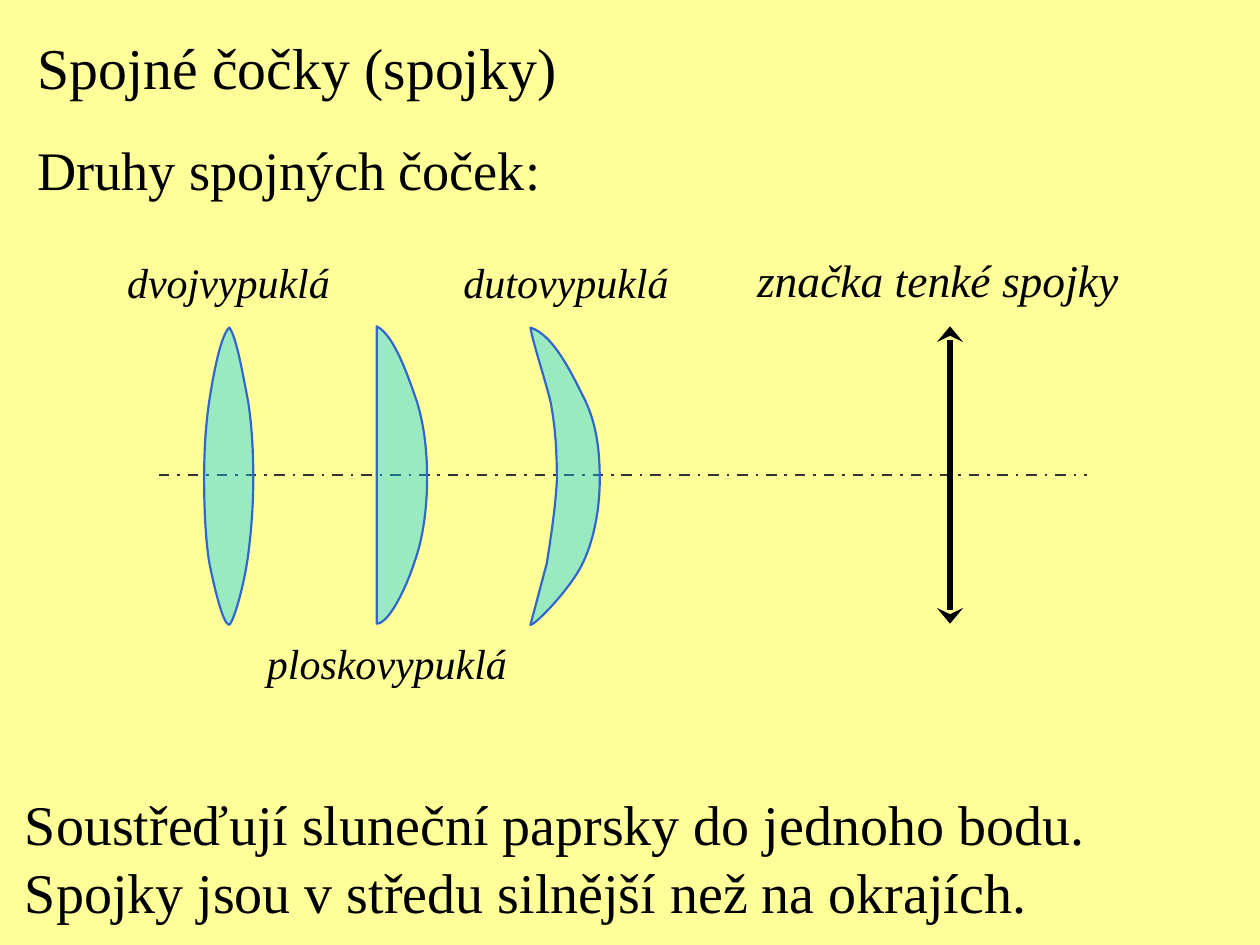
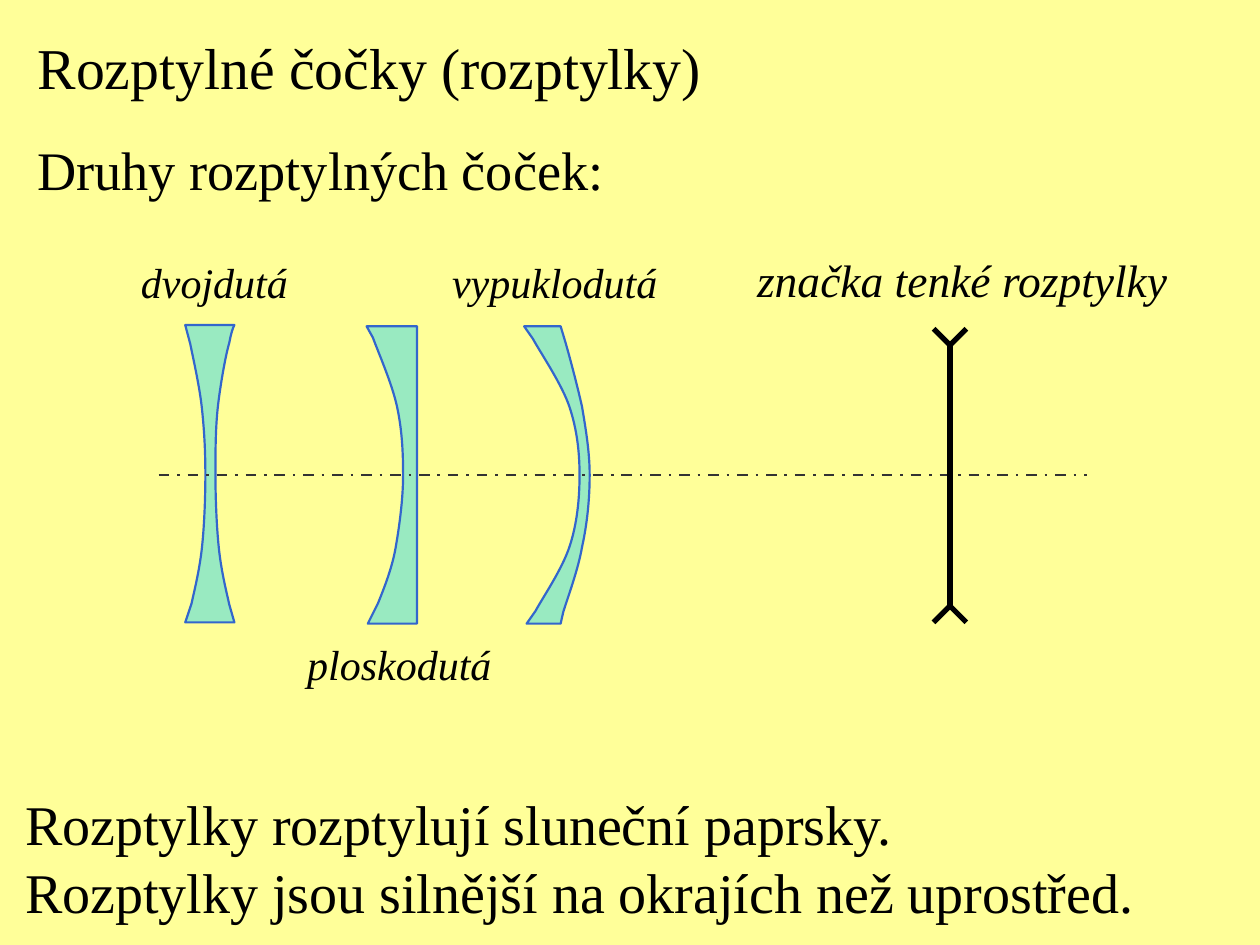
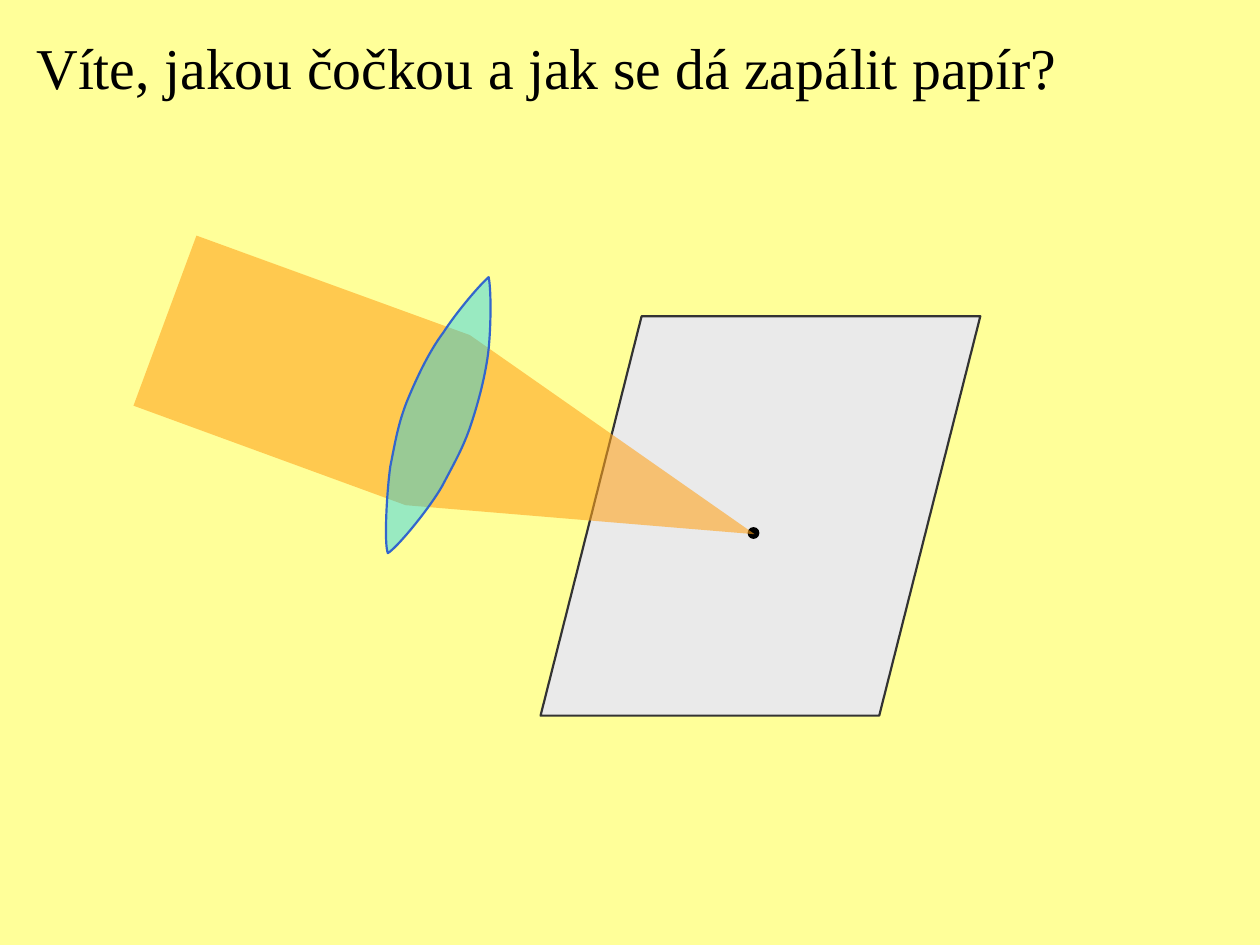
from dataclasses import dataclass
from math import cos, radians, sin
from typing import Optional

from lxml.etree import SubElement
from pptx import Presentation
from pptx.dml.color import RGBColor
from pptx.enum.dml import MSO_LINE
from pptx.enum.shapes import MSO_CONNECTOR, MSO_SHAPE
from pptx.enum.text import MSO_AUTO_SIZE
from pptx.oxml.ns import qn
from pptx.util import Inches, Pt

BACKGROUND = "FFFF99"
INK = "000000"
AXIS_GREY = "333333"
PAPER = "EAEAEA"
FONT = "Times New Roman"
TEXT_SLACK = 0.04
AXIS_Y = 3.77
SYMBOL_X = 7.54

Point = tuple[float, float]


@dataclass(frozen=True)
class Stroke:
    color: str
    width: float
    dash: Optional[MSO_LINE] = None
    ends: str = ""


@dataclass(frozen=True)
class Fill:
    color: str
    opacity: int = 100


@dataclass(frozen=True)
class Line:
    text: str
    size: float
    after: float = 0
    italic: bool = False


@dataclass(frozen=True)
class Caption:
    left: float
    top: float
    width: float
    height: float
    lines: tuple[Line, ...]


@dataclass(frozen=True)
class Outline:
    start: Point
    segments: tuple[tuple[float, ...], ...]
    closed: bool = True


GLASS = Fill("00CCFF", 40)
GLASS_EDGE = Stroke("3366CC", 1.25)
SYMBOL_STROKE = Stroke(INK, 3)
AXIS_STROKE = Stroke(AXIS_GREY, 1.5, MSO_LINE.DASH_DOT)

BICONVEX = Outline((1.82, 2.6), (
    (1.75, 2.66, 1.69, 2.99, 1.66, 3.19), (1.63, 3.39, 1.62, 3.59, 1.62, 3.81),
    (1.62, 4.02, 1.63, 4.27, 1.66, 4.46), (1.7, 4.66, 1.77, 4.96, 1.82, 4.96),
    (1.86, 4.92, 1.93, 4.66, 1.96, 4.47), (1.99, 4.28, 2.01, 4.02, 2.01, 3.8),
    (2.01, 3.59, 2, 3.39, 1.97, 3.19), (1.93, 2.99, 1.88, 2.68, 1.82, 2.6)))
PLANO_CONVEX = Outline((2.99, 2.59), (
    (3.13, 2.66, 3.24, 2.99, 3.31, 3.19), (3.37, 3.39, 3.39, 3.59, 3.39, 3.8),
    (3.39, 4.02, 3.36, 4.27, 3.29, 4.46), (3.23, 4.65, 3.09, 4.95, 2.99, 4.95),
    (2.99, 2.59)))
CONCAVO_CONVEX = Outline((4.21, 2.6), (
    (4.4, 2.66, 4.55, 2.99, 4.65, 3.19), (4.74, 3.39, 4.76, 3.59, 4.76, 3.81),
    (4.76, 4.02, 4.72, 4.27, 4.63, 4.46), (4.54, 4.66, 4.25, 4.96, 4.21, 4.96),
    (4.34, 4.47), (4.37, 4.28, 4.41, 4.02, 4.42, 3.81),
    (4.42, 3.6, 4.41, 3.4, 4.37, 3.19), (4.32, 2.99, 4.23, 2.72, 4.21, 2.6)))
CONVEXO_CONCAVE = Outline((4.45, 2.59), (
    (4.48, 2.69), (4.51, 2.79, 4.58, 3.05, 4.62, 3.23),
    (4.65, 3.41, 4.68, 3.59, 4.68, 3.77), (4.68, 3.96, 4.66, 4.16, 4.62, 4.34),
    (4.59, 4.52, 4.5, 4.76, 4.47, 4.86), (4.45, 4.95), (4.18, 4.95), (4.25, 4.85),
    (4.31, 4.74, 4.46, 4.52, 4.52, 4.34), (4.58, 4.16, 4.6, 3.96, 4.6, 3.77),
    (4.6, 3.59, 4.58, 3.41, 4.52, 3.23), (4.46, 3.05, 4.29, 2.8, 4.23, 2.69),
    (4.16, 2.59), (4.45, 2.59)))
BICONCAVE = Outline((1.47, 2.58), (
    (1.86, 2.58), (1.86, 2.58, 1.84, 2.61, 1.82, 2.72),
    (1.79, 2.82, 1.75, 3.05, 1.73, 3.22), (1.71, 3.4, 1.71, 3.58, 1.71, 3.77),
    (1.71, 3.96, 1.72, 4.21, 1.74, 4.38), (1.76, 4.55, 1.8, 4.71, 1.82, 4.8),
    (1.86, 4.94), (1.47, 4.94), (1.52, 4.79),
    (1.54, 4.7, 1.58, 4.54, 1.6, 4.37), (1.62, 4.2, 1.63, 3.96, 1.63, 3.77),
    (1.63, 3.57, 1.62, 3.4, 1.6, 3.22), (1.58, 3.05, 1.53, 2.83, 1.51, 2.73),
    (1.47, 2.58)))
PLANO_CONCAVE = Outline((2.91, 2.59), (
    (3.31, 2.59), (3.31, 4.95), (2.92, 4.95), (3, 4.79),
    (3.04, 4.69, 3.11, 4.52, 3.14, 4.35), (3.17, 4.18, 3.2, 3.96, 3.2, 3.77),
    (3.2, 3.58, 3.19, 3.4, 3.15, 3.22), (3.11, 3.04, 3, 2.79, 2.96, 2.68),
    (2.91, 2.59)))
BURNING_LENS = Outline((3.88, 2.2), (
    (3.81, 2.26, 3.63, 2.47, 3.52, 2.64), (3.4, 2.8, 3.3, 3.02, 3.23, 3.19),
    (3.16, 3.37, 3.14, 3.5, 3.1, 3.7), (3.07, 3.91, 3.05, 4.32, 3.08, 4.39),
    (3.15, 4.35, 3.4, 4.05, 3.51, 3.86), (3.61, 3.67, 3.68, 3.55, 3.74, 3.37),
    (3.8, 3.19, 3.86, 2.96, 3.88, 2.77), (3.9, 2.57, 3.9, 2.29, 3.88, 2.2)))
LENS_CENTER = (3.48, 3.3)
LENS_TILT = 20.1
BEAM = Outline((1.56, 1.87), ((3.73, 2.66), (5.99, 4.24), (3.22, 4.01), (1.06, 3.22)),
               closed=False)


def rgb(color: str) -> RGBColor:
    return RGBColor.from_string(color)


def apply_format(target, values: dict) -> None:
    for attribute, value in values.items():
        setattr(target, attribute, value)


def apply_stroke(line, stroke: Optional[Stroke]) -> None:
    if stroke is None:
        line.fill.background()
        return
    line.color.rgb = rgb(stroke.color)
    line.width = Pt(stroke.width)
    if stroke.dash:
        line.dash_style = stroke.dash


def style_shape(shape, fill: Optional[Fill], stroke: Optional[Stroke]) -> None:
    shape.shadow.inherit = False
    apply_stroke(shape.line, stroke)
    if fill is None:
        shape.fill.background()
        return
    shape.fill.solid()
    shape.fill.fore_color.rgb = rgb(fill.color)
    if fill.opacity < 100:
        color = shape.fill._xPr.find(qn("a:solidFill"))[0]
        SubElement(color, qn("a:alpha"), val=str(fill.opacity * 1000))


def pairs(segment: tuple[float, ...]) -> list[Point]:
    return list(zip(segment[::2], segment[1::2]))


def turn(point: Point, center: Point, degrees: float) -> Point:
    c, s = cos(radians(degrees)), sin(radians(degrees))
    dx, dy = point[0] - center[0], point[1] - center[1]
    return center[0] + dx * c - dy * s, center[1] + dx * s + dy * c


def turn_outline(outline: Outline, center: Point, degrees: float) -> Outline:
    segments = tuple(
        tuple(value for point in pairs(segment) for value in turn(point, center, degrees))
        for segment in outline.segments)
    return Outline(turn(outline.start, center, degrees), segments, outline.closed)


def bend_segments(path_shape, outline: Outline) -> None:
    steps = path_shape._element.iter(qn("a:lnTo"))
    steps = iter(list(steps))
    for segment in outline.segments:
        group = [next(steps) for _ in pairs(segment)]
        if len(group) == 3:
            curve = group[0]
            bend = curve.makeelement(qn("a:cubicBezTo"))
            curve.addprevious(bend)
            for step in group:
                bend.append(step[0])
                step.getparent().remove(step)


def draw_outline(shapes, outline: Outline, fill: Optional[Fill] = None,
                 stroke: Optional[Stroke] = None):
    points = [outline.start] + [p for segment in outline.segments for p in pairs(segment)]
    corners = [(Inches(x), Inches(y)) for x, y in points]
    builder = shapes.build_freeform(*corners[0], scale=1.0)
    builder.add_line_segments(corners[1:], close=outline.closed)
    path_shape = builder.convert_to_shape()
    bend_segments(path_shape, outline)
    style_shape(path_shape, fill, stroke)
    return path_shape


def draw_lenses(slide, *lenses: Outline) -> None:
    for lens in lenses:
        draw_outline(slide.shapes, lens, GLASS, GLASS_EDGE)


def draw_line(shapes, start: Point, end: Point, stroke: Stroke) -> None:
    connector = shapes.add_connector(
        MSO_CONNECTOR.STRAIGHT, *(Inches(value) for value in start + end))
    apply_stroke(connector.line, stroke)
    properties = connector._element.spPr
    if stroke.ends:
        for end_tag in ("a:headEnd", "a:tailEnd"):
            SubElement(properties.find(qn("a:ln")), qn(end_tag),
                       type=stroke.ends, w="lg", len="med")
    SubElement(properties, qn("a:effectLst"))


def draw_axis(slide) -> None:
    draw_line(slide.shapes, (1.26, AXIS_Y), (8.63, AXIS_Y), AXIS_STROKE)


def draw_fork(shapes, tip_y: float, joint_y: float) -> None:
    fork = Outline((SYMBOL_X - 0.13, tip_y),
                   ((SYMBOL_X, joint_y), (SYMBOL_X + 0.13, tip_y)), closed=False)
    draw_outline(shapes, fork, stroke=SYMBOL_STROKE)


def draw_diverging_symbol(slide) -> None:
    symbol = slide.shapes.add_group_shape().shapes
    draw_fork(symbol, 4.94, 4.81)
    draw_line(symbol, (SYMBOL_X, 2.72), (SYMBOL_X, 4.83), SYMBOL_STROKE)
    draw_fork(symbol, 2.61, 2.74)


def draw_caption(slide, caption: Caption) -> None:
    box = slide.shapes.add_textbox(Inches(caption.left), Inches(caption.top),
                                   Inches(caption.width + TEXT_SLACK),
                                   Inches(caption.height))
    frame = box.text_frame
    apply_format(frame, {"word_wrap": False,
                         "auto_size": MSO_AUTO_SIZE.SHAPE_TO_FIT_TEXT})
    for index, line in enumerate(caption.lines):
        paragraph = frame.add_paragraph() if index else frame.paragraphs[0]
        paragraph.space_after = Pt(line.after)
        run = paragraph.add_run()
        run.text = line.text
        apply_format(run.font, {"name": FONT, "size": Pt(line.size),
                                "italic": line.italic})
        run.font.color.rgb = rgb(INK)


def heading(width: float, title: str, subtitle: str) -> Caption:
    return Caption(0.2, 0.2, width, 1.46, (Line(title, 33, 20.6), Line(subtitle, 31, 5.8)))


def summary(width: float, *sentences: str) -> Caption:
    return Caption(0.1, 6.22, width, 1.17, tuple(Line(text, 32) for text in sentences))


def lens_label(left: float, top: float, width: float, text: str) -> Caption:
    return Caption(left, top, width, 0.5, (Line(text, 24, italic=True),))


def symbol_label(width: float, text: str) -> Caption:
    return Caption(5.91, 1.95, width, 0.54, (Line(text, 26, italic=True),))


CONVERGING_CAPTIONS = (
    heading(4.32, "Spojné čočky (spojky)", "Druhy spojných čoček:"),
    lens_label(0.91, 1.99, 1.81, "dvojvypuklá"),
    lens_label(2.02, 5.01, 2.1, "ploskovypuklá"),
    lens_label(3.58, 1.99, 1.83, "dutovypuklá"),
    symbol_label(3.07, "značka tenké spojky"),
    summary(8.62, "Soustřeďují sluneční paprsky do jednoho bodu.",
            "Spojky jsou v středu silnější než na okrajích."),
)
DIVERGING_CAPTIONS = (
    heading(5.47, "Rozptylné čočky (rozptylky)", "Druhy rozptylných čoček:"),
    lens_label(1.02, 1.99, 1.36, "dvojdutá"),
    lens_label(2.34, 5.02, 1.66, "ploskodutá"),
    lens_label(3.49, 1.99, 1.83, "vypuklodutá"),
    symbol_label(3.47, "značka tenké rozptylky"),
    summary(9.01, "Rozptylky rozptylují sluneční paprsky.",
            "Rozptylky jsou silnější na okrajích než uprostřed."),
)
QUESTION = Caption(0.19, 0.2, 8.3, 0.65, (
    Line("Víte, jakou čočkou a jak se dá zapálit papír?", 33, 4.1),))


def add_slide(deck, captions: tuple[Caption, ...]):
    slide = deck.slides.add_slide(deck.slide_layouts[6])
    slide.background.fill.solid()
    slide.background.fill.fore_color.rgb = rgb(BACKGROUND)
    for caption in captions:
        draw_caption(slide, caption)
    return slide


def add_converging_slide(deck) -> None:
    slide = add_slide(deck, CONVERGING_CAPTIONS)
    draw_axis(slide)
    draw_line(slide.shapes, (SYMBOL_X, 2.59), (SYMBOL_X, 4.95),
              Stroke(INK, 3, ends="stealth"))
    draw_lenses(slide, BICONVEX, PLANO_CONVEX, CONCAVO_CONVEX)


def add_diverging_slide(deck) -> None:
    slide = add_slide(deck, DIVERGING_CAPTIONS)
    draw_lenses(slide, CONVEXO_CONCAVE, BICONCAVE, PLANO_CONCAVE)
    draw_axis(slide)
    draw_diverging_symbol(slide)


def add_burning_slide(deck) -> None:
    slide = add_slide(deck, (QUESTION,))
    paper = slide.shapes.add_shape(MSO_SHAPE.PARALLELOGRAM, Inches(4.29), Inches(2.51),
                                   Inches(3.49), Inches(3.17))
    paper.adjustments[0] = 0.253
    style_shape(paper, Fill(PAPER), Stroke(AXIS_GREY, 1.25))
    focus = slide.shapes.add_shape(MSO_SHAPE.OVAL, Inches(5.94), Inches(4.19),
                                   Inches(0.08), Inches(0.08))
    style_shape(focus, Fill(INK), Stroke(INK, 1))
    draw_outline(slide.shapes, BEAM, Fill("FFA31B", 58))
    upright = turn_outline(BURNING_LENS, LENS_CENTER, -LENS_TILT)
    lens = draw_outline(slide.shapes, upright, GLASS, GLASS_EDGE)
    lens.rotation = LENS_TILT


def main() -> None:
    deck = Presentation()
    apply_format(deck, {"slide_width": Inches(10), "slide_height": Inches(7.5)})
    add_converging_slide(deck)
    add_diverging_slide(deck)
    add_burning_slide(deck)
    deck.save("out.pptx")


if __name__ == "__main__":
    main()
